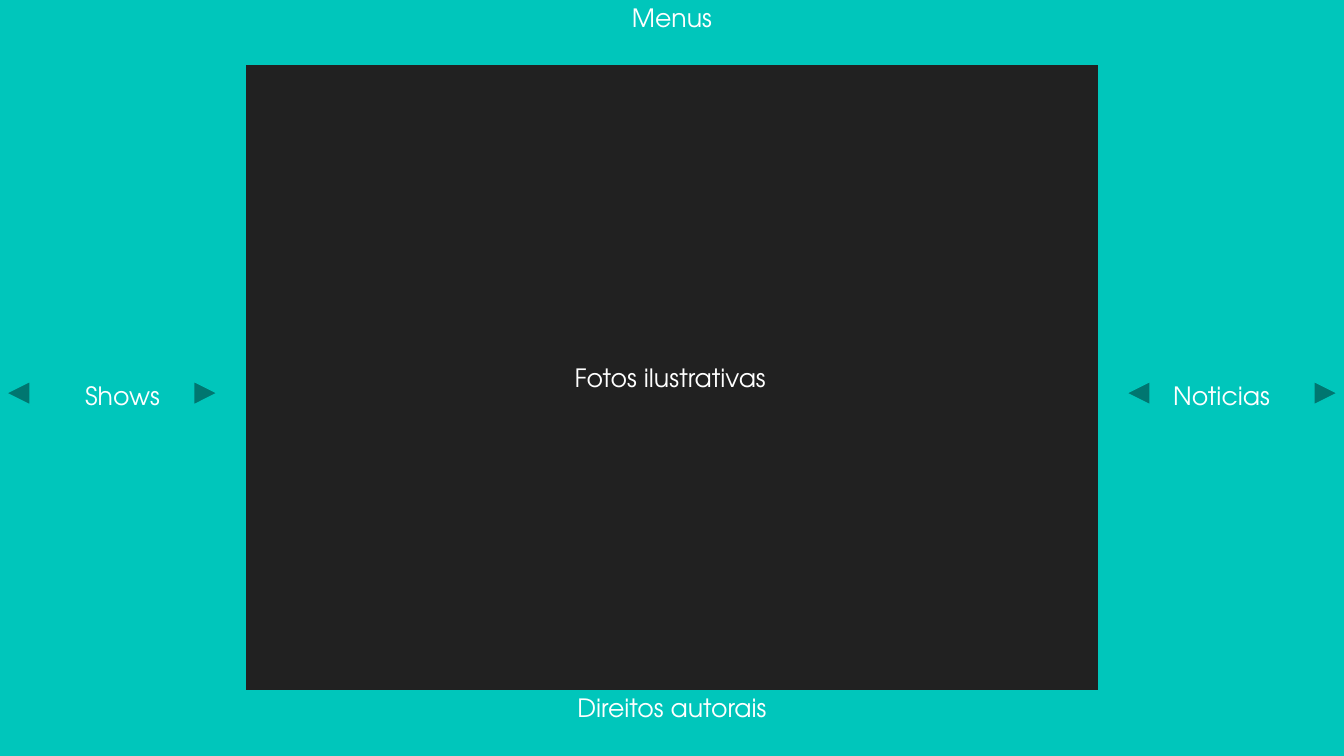
import pptx
import pptx.util
import pptx.dml.color
import pptx.enum.shapes
import pptx.enum.text

Inches = pptx.util.Inches
Shapes = pptx.enum.shapes.MSO_SHAPE
COLOURS = {"background": "212121", "panel": "00C6BB", "text": "FFFFFF"}
FONT = "TeX Gyre Adventor"
WIDTH, HEIGHT = 13.33, 7.5
BAND_HEIGHT = 0.64
SIDE_WIDTH = 2.43
BUTTON_WIDTH, BUTTON_HEIGHT = 0.36, 0.32
BUTTON_TOP = 3.74
BUTTON_INSET = 0.21


def colour(name):
    return pptx.dml.color.RGBColor.from_string(COLOURS[name])


def add_label(paragraph, text):
    run = paragraph.add_run()
    run.text = text
    run.font.name = FONT
    run.font.size = pptx.util.Pt(18)
    run.font.color.rgb = colour("text")


def add_panel_shape(slide, preset, left, top, width, height):
    shape = slide.shapes.add_shape(
        preset, Inches(left), Inches(top), Inches(width), Inches(height))
    shape.shadow.inherit = False
    shape.fill.solid()
    shape.fill.fore_color.rgb = colour("panel")
    shape.line.color.rgb = colour("panel")
    shape.line.width = pptx.util.Pt(1.25)
    return shape


def add_panel(slide, text, left, top, width, height):
    shape = add_panel_shape(slide, Shapes.RECTANGLE, left, top, width, height)
    frame = shape.text_frame
    frame.word_wrap = True
    frame.margin_top = 0
    frame.margin_bottom = Inches(0.3)
    frame.vertical_anchor = pptx.enum.text.MSO_ANCHOR.MIDDLE
    paragraph = frame.paragraphs[0]
    paragraph.alignment = pptx.enum.text.PP_ALIGN.CENTER
    add_label(paragraph, text)


def add_button(slide, preset, left):
    add_panel_shape(slide, preset, left, BUTTON_TOP, BUTTON_WIDTH, BUTTON_HEIGHT)


def add_caption(slide, text, left, top, width, height):
    box = slide.shapes.add_textbox(
        Inches(left), Inches(top), Inches(width), Inches(height))
    frame = box.text_frame
    frame.word_wrap = False
    frame.auto_size = pptx.enum.text.MSO_AUTO_SIZE.SHAPE_TO_FIT_TEXT
    add_label(frame.paragraphs[0], text)


def main():
    presentation = pptx.Presentation()
    presentation.slide_width = Inches(WIDTH)
    presentation.slide_height = Inches(HEIGHT)
    slide = presentation.slides.add_slide(presentation.slide_layouts[6])
    slide.background.fill.solid()
    slide.background.fill.fore_color.rgb = colour("background")

    right_panel = WIDTH - SIDE_WIDTH
    side_height = HEIGHT - BAND_HEIGHT
    add_panel(slide, "Menus", 0, 0, WIDTH, BAND_HEIGHT)
    add_panel(slide, "Shows", 0, BAND_HEIGHT, SIDE_WIDTH, side_height)
    add_panel(slide, "Noticias", right_panel, BAND_HEIGHT, SIDE_WIDTH, side_height)

    for left in (SIDE_WIDTH - BUTTON_INSET - BUTTON_WIDTH, WIDTH - BUTTON_WIDTH):
        add_button(slide, Shapes.ACTION_BUTTON_FORWARD_OR_NEXT, left)
    for left in (0, right_panel + BUTTON_INSET):
        add_button(slide, Shapes.ACTION_BUTTON_BACK_OR_PREVIOUS, left)

    add_panel(slide, "Direitos autorais", 0, 6.85, WIDTH, BAND_HEIGHT)
    add_caption(slide, "Fotos ilustrativas", 5.6, 3.55, 2.14, 0.4)
    presentation.save("out.pptx")


main()
